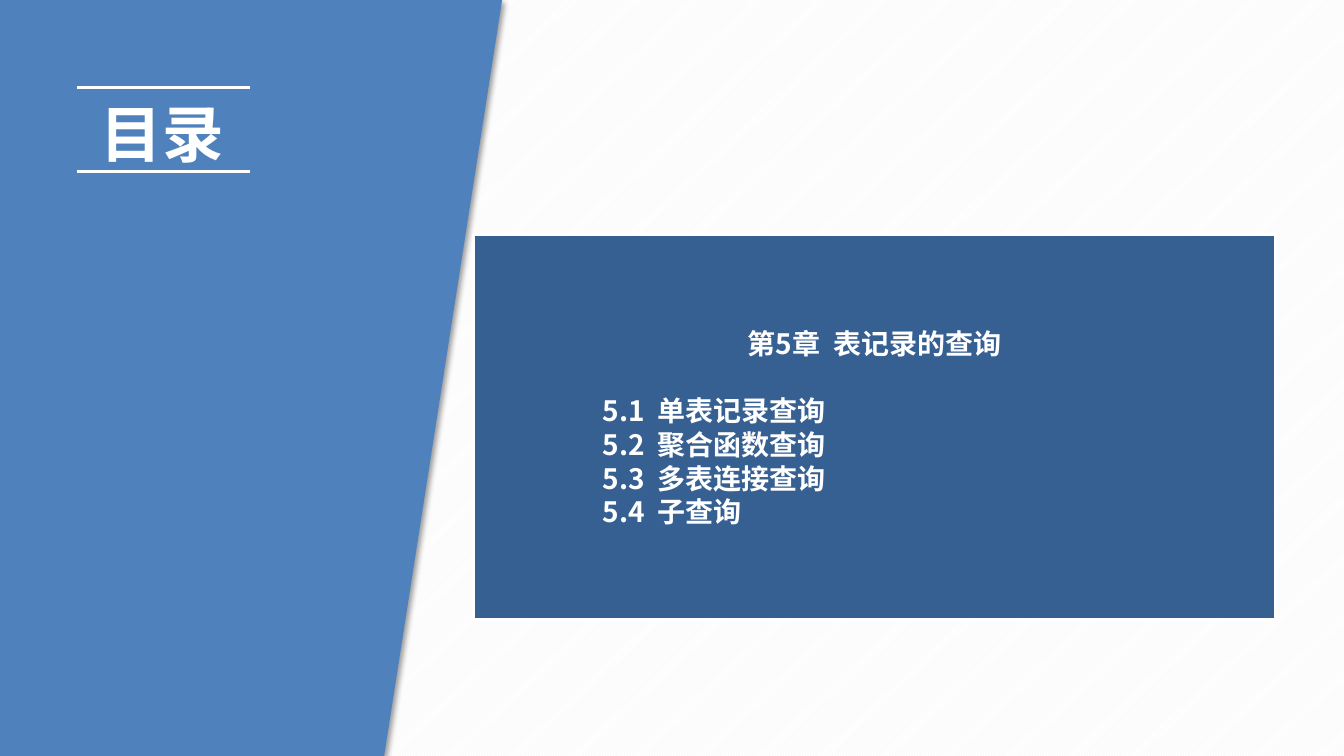
import pptx
import pptx.dml.color
import pptx.enum.dml
import pptx.enum.shapes
import pptx.enum.text
import pptx.oxml
import pptx.oxml.ns
import pptx.util

Inches = pptx.util.Inches
Pt = pptx.util.Pt


def color(value):
    return pptx.dml.color.RGBColor.from_string(value)


class Deck:
    """Holds the style and the current slide."""

    font = "Noto Sans CJK SC"
    blue, navy, white = "4F81BD", "376092", "FFFFFF"

    def __init__(self):
        self.prs = pptx.Presentation()
        self.prs.slide_width = Inches(13.33)
        self.prs.slide_height = Inches(7.5)
        self.s = self.prs.slides.add_slide(self.prs.slide_layouts[5])

    def background(self, fore, back):
        fill = self.s.background.fill
        fill.patterned()
        fill.pattern = pptx.enum.dml.MSO_PATTERN.DARK_UPWARD_DIAGONAL
        fill.fore_color.rgb = color(fore)
        fill.back_color.rgb = color(back)

    def effects(self, sp, content=""):
        ns = pptx.oxml.ns.nsdecls("a")
        xml = f"<a:effectLst {ns}>{content}</a:effectLst>"
        sp.element.spPr.append(pptx.oxml.parse_xml(xml))

    def style(self, p, size, spacing, align):
        p.alignment = align
        p.line_spacing = Pt(spacing)
        for r in p.runs:
            r.font.name = self.font
            r.font.size = Pt(size)
            r.font.bold = True
            r.font.color.rgb = color(self.white)
            ea = r.font._element.makeelement(pptx.oxml.ns.qn("a:ea"), {"typeface": self.font})
            r.font._element.find(pptx.oxml.ns.qn("a:latin")).addnext(ea)

    def title(self, text, x, y, w, h):
        sp = self.s.shapes.title
        sp.left, sp.top, sp.width, sp.height = map(Inches, (x, y, w, h))
        tf = sp.text_frame
        tf.text = text
        tf.auto_size = pptx.enum.text.MSO_AUTO_SIZE.NONE
        tf.vertical_anchor = pptx.enum.text.MSO_ANCHOR.TOP
        self.style(tf.paragraphs[0], 44, 55, pptx.enum.text.PP_ALIGN.LEFT)
        tf.paragraphs[0].runs[0].font.size = Pt(44)

    def side_panel(self, points):
        (x, y), *rest = [(Inches(a), Inches(b)) for a, b in points]
        builder = self.s.shapes.build_freeform(x, y)
        builder.add_line_segments(rest, close=True)
        sp = builder.convert_to_shape()
        sp.fill.solid()
        sp.fill.fore_color.rgb = color(self.blue)
        sp.line.fill.background()
        self.effects(sp, '<a:outerShdw blurRad="50800" dist="38100" dir="2700000">'
                         '<a:srgbClr val="000000"><a:alpha val="40000"/></a:srgbClr>'
                         '</a:outerShdw>')
        self.s.shapes.title.element.addprevious(sp.element)

    def rule(self, x1, x2, y):
        sp = self.s.shapes.add_connector(
            pptx.enum.shapes.MSO_CONNECTOR.STRAIGHT,
            Inches(x1), Inches(y), Inches(x2), Inches(y))
        sp.line.color.rgb = color(self.white)
        sp.line.width = Pt(2)
        self.effects(sp)

    def chapter(self, heading, sections, x, y, w, h):
        sp = self.s.shapes.add_shape(
            pptx.enum.shapes.MSO_SHAPE.RECTANGLE,
            Inches(x), Inches(y), Inches(w), Inches(h))
        sp.shadow.inherit = False
        sp.fill.solid()
        sp.fill.fore_color.rgb = color(self.navy)
        sp.line.color.rgb = color(self.white)
        sp.line.width = Pt(2.25)
        tf = sp.text_frame
        tf.word_wrap = True
        tf.vertical_anchor = pptx.enum.text.MSO_ANCHOR.MIDDLE
        p = tf.paragraphs[0]
        p.text = heading
        p.space_after = Pt(24)
        self.style(p, 20, 24, pptx.enum.text.PP_ALIGN.CENTER)
        for section in sections:
            p = tf.add_paragraph()
            p.text = section
            p.level = 2
            self.style(p, 20, 24, pptx.enum.text.PP_ALIGN.LEFT)
            pPr = p._p.get_or_add_pPr()
            pPr.set("marL", str(Inches(1.18)))
            pPr.set("indent", "0")


def main():
    deck = Deck()
    deck.background("F2F2F2", "FFFFFF")
    deck.side_panel([(0, 0), (4.98, 0), (3.81, 7.5), (0, 7.5)])
    deck.title("目录", 0.9, 0.87, 2.77, 0.84)
    for y in (0.87, 1.7):
        deck.rule(0.76, 2.48, y)
    sections = ["5.1  单表记录查询", "5.2  聚合函数查询", "5.3  多表连接查询", "5.4  子查询"]
    deck.chapter("第5章  表记录的查询", sections, 4.7, 2.33, 7.95, 3.82)
    deck.prs.save("out.pptx")


if __name__ == "__main__":
    main()
